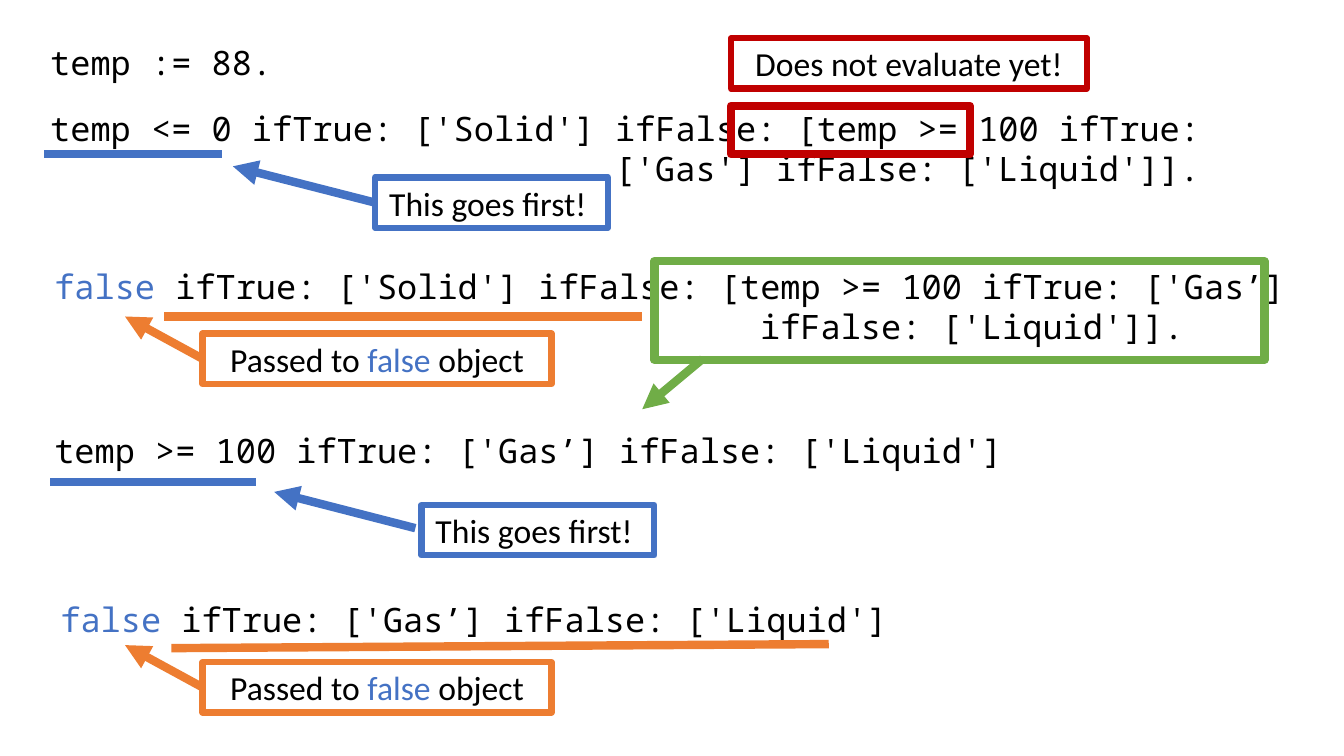
"""Build a slide tracing how nested conditional messages are evaluated."""
from dataclasses import dataclass
from typing import Optional

from pptx import Presentation
from pptx.dml.color import RGBColor
from pptx.enum.shapes import MSO_CONNECTOR, MSO_SHAPE
from pptx.enum.text import MSO_ANCHOR, MSO_AUTO_SIZE, PP_ALIGN
from pptx.oxml.ns import qn
from pptx.util import Inches, Pt
from lxml.etree import SubElement


@dataclass(frozen=True)
class Theme:
    black: str = "000000"
    blue: str = "4472C4"
    orange: str = "ED7D31"
    red: str = "C00000"
    green: str = "70AD47"
    code_font: str = "Noto Sans Mono"
    label_font: str = "Calibri"
    text_size: float = 24
    heavy_line: float = 6
    box_line: float = 4.5


THEME = Theme()
Run = tuple[str, str]


@dataclass(frozen=True)
class CodeLine:
    left: float
    top: float
    width: float
    height: float
    runs: tuple[Run, ...]
    hanging: float = 0


@dataclass(frozen=True)
class Frame:
    left: float
    top: float
    width: float
    height: float
    color: str
    weight: float = THEME.heavy_line


@dataclass(frozen=True)
class Stroke:
    start: tuple[float, float]
    end: tuple[float, float]
    color: str
    arrow: bool = False


@dataclass(frozen=True)
class Callout:
    frame: Frame
    runs: tuple[Run, ...]
    target: Optional[tuple[float, float]] = None


def plain(text: str) -> tuple[Run, ...]:
    return ((text, THEME.black),)


def label_frame(left: float, top: float, width: float, color: str) -> Frame:
    return Frame(left, top, width, 0.5, color, THEME.box_line)


FALSE_RUN = ("false ", THEME.blue)
FIRST_LABEL = plain("This goes first! ")
PASSED_LABEL = (("Passed to ", THEME.black), ("false", THEME.blue), (" object", THEME.black))

CODE_LINES = (
    CodeLine(0.4, 0.37, 3.16, 0.5, plain("temp := 88.")),
    CodeLine(0.4, 1.02, 12.5, 0.91, plain(
        "temp <= 0 ifTrue: ['Solid'] ifFalse: [temp >= 100 ifTrue: "
        "['Gas'] ifFalse: ['Liquid']]."), hanging=5.6),
    CodeLine(0.44, 2.59, 12.71, 0.91, (FALSE_RUN, (
        "ifTrue: ['Solid'] ifFalse: [temp >= 100 ifTrue: ['Gas’] "
        "ifFalse: ['Liquid']].", THEME.black)), hanging=7),
    CodeLine(0.44, 4.22, 12.71, 0.5, plain("temp >= 100 ifTrue: ['Gas’] ifFalse: ['Liquid']")),
    CodeLine(0.5, 5.89, 12.71, 0.5, (
        FALSE_RUN, ("ifTrue: ['Gas’] ifFalse: ['Liquid']", THEME.black))),
)
STROKES = (
    Stroke((0.44, 1.53), (2.2, 1.53), THEME.blue),
    Stroke((1.63, 3.14), (6.37, 3.14), THEME.orange),
    Stroke((0.5, 4.78), (2.54, 4.78), THEME.blue),
    Stroke((1.7, 6.43), (8.22, 6.39), THEME.orange),
    Stroke((4.12, 5.24), (2.72, 4.88), THEME.blue, arrow=True),
    Stroke((6.97, 3.56), (6.37, 4.06), THEME.green, arrow=True),
)
FRAMES = (
    Frame(7.25, 1.05, 2.37, 0.48, THEME.red),
    Frame(6.49, 2.59, 6.05, 0.98, THEME.green),
)
CALLOUTS = (
    Callout(label_frame(7.25, 0.38, 3.53, THEME.red), plain("Does not evaluate yet!")),
    Callout(label_frame(3.72, 1.76, 2.31, THEME.blue), FIRST_LABEL, (2.31, 1.65)),
    Callout(label_frame(2.01, 3.31, 3.46, THEME.orange), PASSED_LABEL, (1.24, 3.14)),
    Callout(label_frame(4.18, 5.01, 2.31, THEME.blue), FIRST_LABEL),
    Callout(label_frame(2.01, 6.57, 3.46, THEME.orange), PASSED_LABEL, (1.24, 6.4)),
)


def write_text(shape, runs: tuple[Run, ...], *, font: str, align: PP_ALIGN,
               anchor: MSO_ANCHOR, hanging: float = 0) -> None:
    text_frame = shape.text_frame
    text_frame.word_wrap = True
    text_frame.auto_size = MSO_AUTO_SIZE.SHAPE_TO_FIT_TEXT
    text_frame.vertical_anchor = anchor
    paragraph = text_frame.paragraphs[0]
    paragraph.alignment = align
    if hanging:
        properties = paragraph._p.get_or_add_pPr()
        properties.set("marL", str(Inches(hanging)))
        properties.set("indent", str(-Inches(hanging)))
    for text, color in runs:
        run = paragraph.add_run()
        run.text = text
        run.font.name = font
        run.font.size = Pt(THEME.text_size)
        run.font.color.rgb = RGBColor.from_string(color)


def draw_code(slide, code: CodeLine) -> None:
    box = slide.shapes.add_textbox(
        Inches(code.left), Inches(code.top), Inches(code.width), Inches(code.height))
    write_text(box, code.runs, font=THEME.code_font, align=PP_ALIGN.LEFT,
               anchor=MSO_ANCHOR.TOP, hanging=code.hanging)


def draw_frame(slide, frame: Frame):
    shape = slide.shapes.add_shape(
        MSO_SHAPE.RECTANGLE, Inches(frame.left), Inches(frame.top),
        Inches(frame.width), Inches(frame.height))
    shape.shadow.inherit = False
    shape.fill.background()
    shape.line.color.rgb = RGBColor.from_string(frame.color)
    shape.line.width = Pt(frame.weight)
    return shape


def draw_stroke(slide, stroke: Stroke):
    points = [Inches(value) for value in (*stroke.start, *stroke.end)]
    connector = slide.shapes.add_connector(MSO_CONNECTOR.STRAIGHT, *points)
    connector.line.color.rgb = RGBColor.from_string(stroke.color)
    connector.line.width = Pt(THEME.heavy_line)
    if stroke.arrow:
        SubElement(connector.line._get_or_add_ln(), qn("a:tailEnd"), type="triangle")
    SubElement(connector._element.spPr, qn("a:effectLst"))
    return connector


def draw_callout(slide, callout: Callout) -> None:
    frame = callout.frame
    shape = draw_frame(slide, frame)
    write_text(shape, callout.runs, font=THEME.label_font, align=PP_ALIGN.CENTER,
               anchor=MSO_ANCHOR.MIDDLE)
    if callout.target:
        start = (frame.left, frame.top + frame.height / 2)
        arrow = draw_stroke(slide, Stroke(start, callout.target, frame.color, arrow=True))
        arrow.begin_connect(shape, 1)


def main() -> None:
    presentation = Presentation()
    presentation.slide_width = Inches(13.33)
    presentation.slide_height = Inches(7.5)
    slide = presentation.slides.add_slide(presentation.slide_layouts[6])
    for code in CODE_LINES:
        draw_code(slide, code)
    for stroke in STROKES:
        draw_stroke(slide, stroke)
    for frame in FRAMES:
        draw_frame(slide, frame)
    for callout in CALLOUTS:
        draw_callout(slide, callout)
    presentation.save("out.pptx")


if __name__ == "__main__":
    main()
